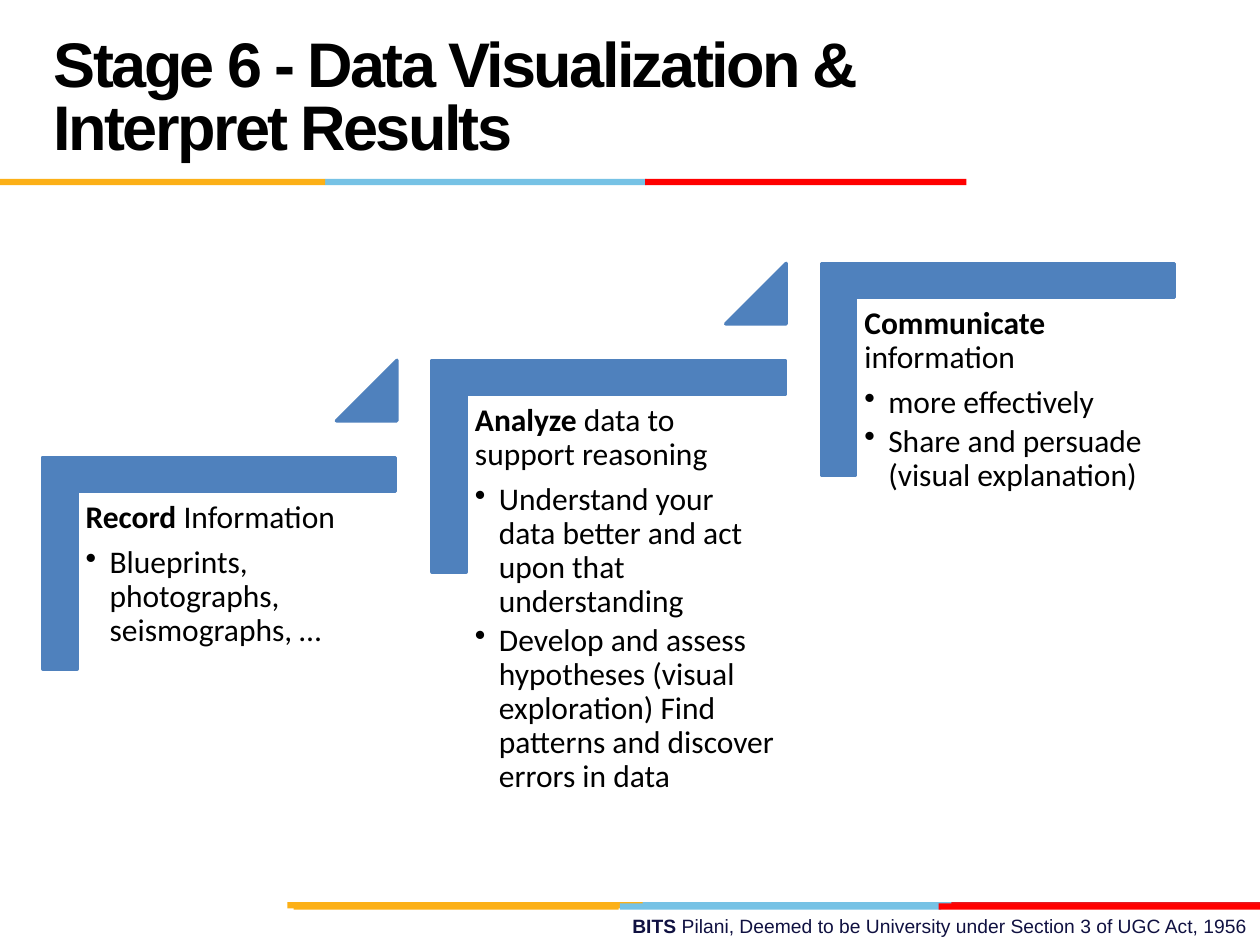
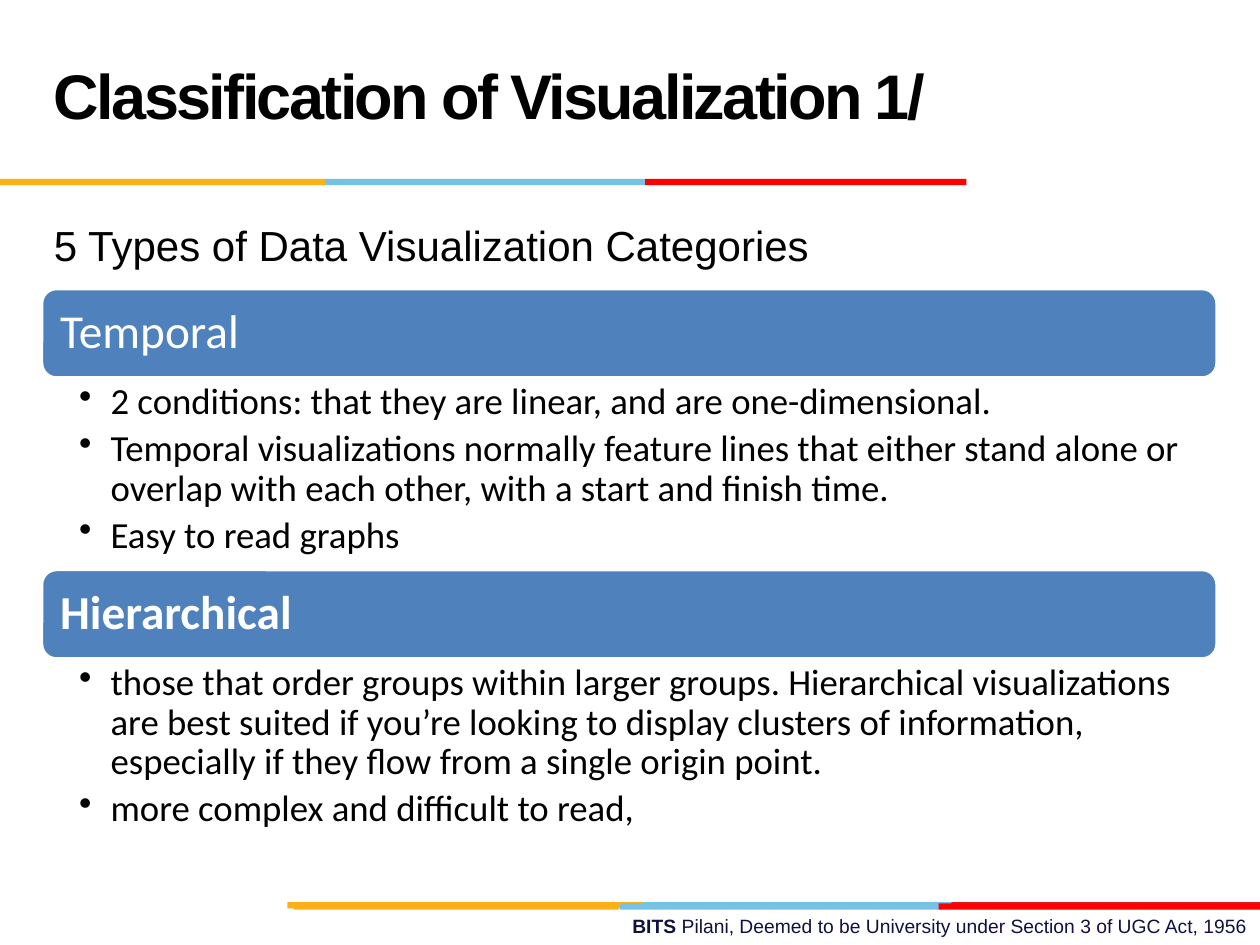
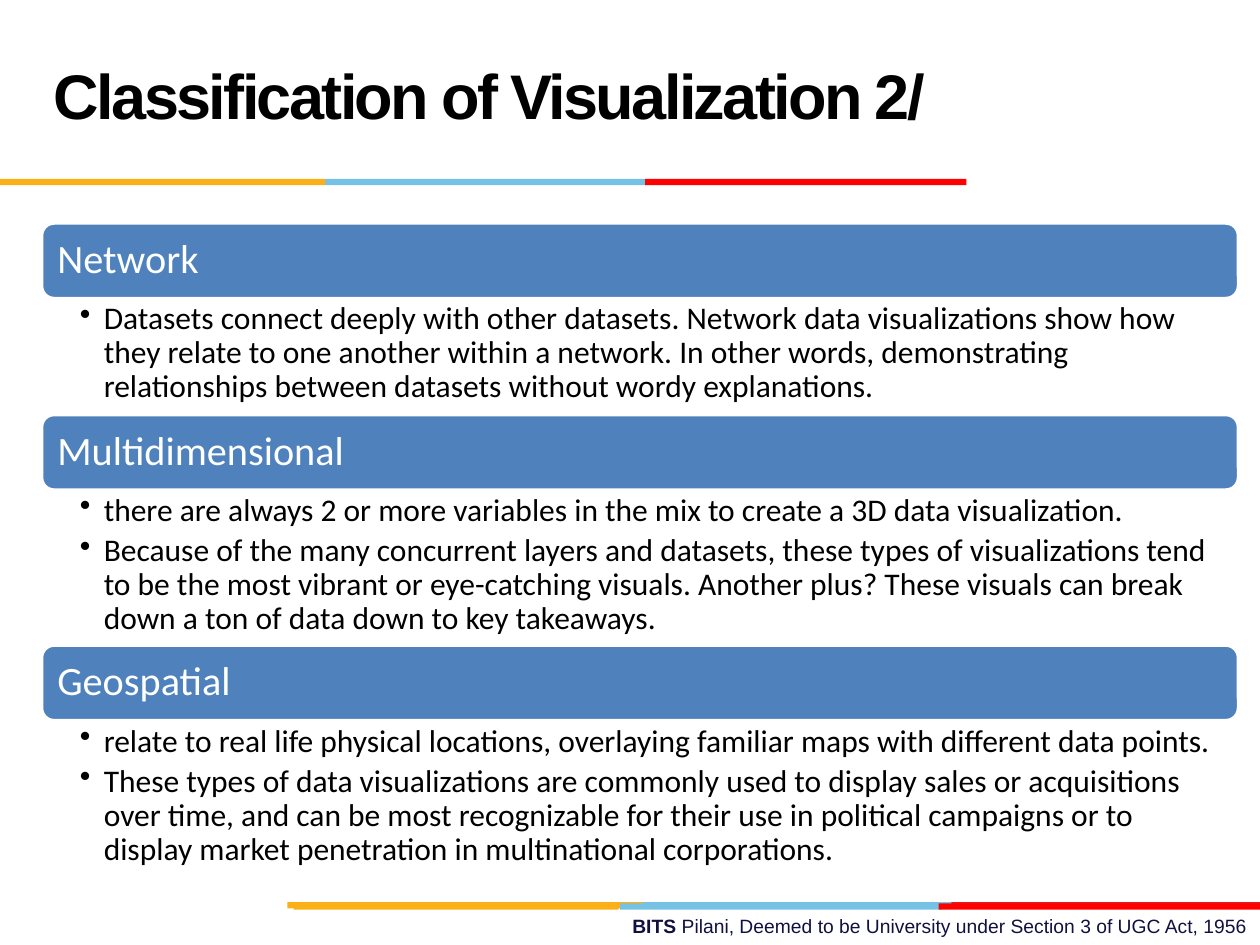
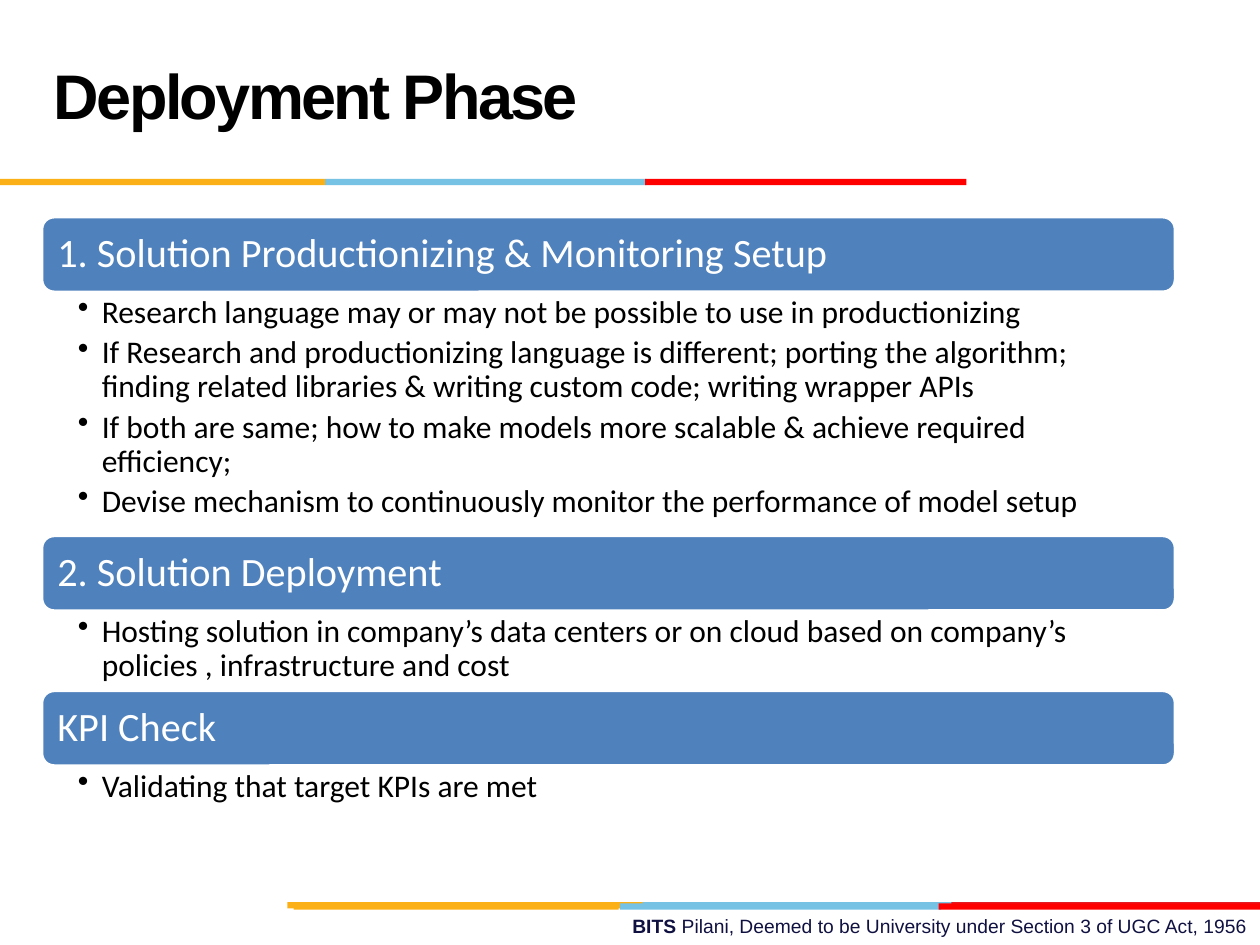
from lxml import etree
from pptx import Presentation
from pptx.dml.color import RGBColor
from pptx.enum.shapes import MSO_SHAPE
from pptx.enum.text import MSO_ANCHOR, PP_ALIGN
from pptx.oxml.ns import qn
from pptx.util import Inches, Pt

RECT = MSO_SHAPE.RECTANGLE
ROUNDED = MSO_SHAPE.ROUNDED_RECTANGLE
CORNER = MSO_SHAPE.CORNER
TRIANGLE = MSO_SHAPE.ISOSCELES_TRIANGLE
MIDDLE = MSO_ANCHOR.MIDDLE
TOP = MSO_ANCHOR.TOP
LEFT = PP_ALIGN.LEFT
RIGHT = PP_ALIGN.RIGHT

COLORS = {
    "black": "000000",
    "white": "FFFFFF",
    "navy": "101141",
    "blue": "4F81BD",
    "sky": "76C2E5",
    "amber": "FCB017",
    "red": "FF0000",
    "crimson": "E31C24",
}

# Each band: top, then (left, width, colour) of its stripes
BANDS = [
    (7.16, [(5.06, 2.55, "sky"), (7.55, 2.45, "crimson"), (2.28, 2.82, "amber")]),
    (7.17, [(4.92, 2.55, "sky"), (2.33, 2.58, "amber"), (7.45, 2.55, "red")]),
    (1.42, [(2.58, 2.55, "sky"), (0, 2.58, "amber"), (5.12, 2.55, "red")]),
]
BAND_HEIGHT = 0.05

LARGE = {"heading": 27, "body": 21, "bar": 0.71, "indent": 0.25}
SMALL = {"heading": 23, "body": 18, "bar": 0.6, "indent": 0.19}


def rgb(name):
    return RGBColor.from_string(COLORS[name])


def write(frame, text, lead="", size=18, font="Calibri", color="black",
          bold=False, align=LEFT, line=None, after=0, bullet=0, tracking=0):
    """Add a paragraph: a bold lead, then text; bullet is its hanging indent."""
    paragraph = frame.paragraphs[0]
    if paragraph.runs:
        paragraph = frame.add_paragraph()
    if bullet:
        paragraph.level = 1
        properties = paragraph._p.get_or_add_pPr()
        properties.set("marL", str(Inches(bullet)))
        properties.set("indent", str(-Inches(bullet)))
        etree.SubElement(properties, qn("a:buChar")).set("char", "•")
    paragraph.alignment = align
    if line:
        paragraph.line_spacing = line
    paragraph.space_after = Pt(after)
    for part, weight in ((lead, True), (text, bold)):
        if not part:
            continue
        run = paragraph.add_run()
        run.text = part
        run.font.name = font
        run.font.size = Pt(size)
        run.font.bold = weight
        run.font.color.rgb = rgb(color)
        if tracking:
            run._r.get_or_add_rPr().set("spc", str(round(tracking * 100)))


class Deck:
    def __init__(self):
        self.presentation = Presentation()
        self.presentation.slide_width = Inches(10)
        self.presentation.slide_height = Inches(7.5)
        self.slide = None

    def new_slide(self, title, title_width=6.92):
        blank = self.presentation.slide_layouts[6]
        self.slide = self.presentation.slides.add_slide(blank)
        footer = self.text_box(3.58, 7.21, 6.42, 0.29)
        write(footer, "Pilani, Deemed to be University under Section 3 of UGC Act, 1956",
              lead="BITS ", size=11, font="Arial", color="navy", align=RIGHT)
        for top, stripes in BANDS:
            for left, width, color in stripes:
                self.shape(RECT, left, top, width, BAND_HEIGHT, color)
        heading = self.text_box(0.33, 0.17, title_width, 1.25, anchor=MIDDLE)
        write(heading, title, size=36, font="Arial", bold=True,
              line=Pt(36), tracking=-1.5)

    def prepare_frame(self, frame, insets, anchor):
        frame.word_wrap = True
        frame.vertical_anchor = anchor
        (frame.margin_left, frame.margin_top,
         frame.margin_right, frame.margin_bottom) = map(Inches, insets)
        return frame

    def text_box(self, left, top, width, height,
                 insets=(0.1, 0.05, 0.1, 0.05), anchor=TOP):
        box = self.slide.shapes.add_textbox(
            Inches(left), Inches(top), Inches(width), Inches(height))
        return self.prepare_frame(box.text_frame, insets, anchor)

    def shape(self, kind, left, top, width, height, fill,
              outline=None, adjust=(), rotation=0):
        shape = self.slide.shapes.add_shape(
            kind, Inches(left), Inches(top), Inches(width), Inches(height))
        shape.shadow.inherit = False
        shape.fill.solid()
        shape.fill.fore_color.rgb = rgb(fill)
        if outline:
            shape.line.color.rgb = rgb(outline)
            shape.line.width = Pt(2)
        else:
            shape.line.fill.background()
        for index, value in enumerate(adjust):
            shape.adjustments[index] = value
        shape.rotation = rotation
        return shape

    def step(self, index, lead, rest, points, last=False):
        """Draw one stair of the rising steps, with a triangle towards the next."""
        dx, dy = 3.09 * index, -0.77 * index
        self.shape(CORNER, 0.9 + dx, 3.07 + dy, 1.68, 2.8, "blue",
                   outline="blue", adjust=(0.161, 0.161), rotation=90)
        frame = self.text_box(0.61 + dx, 3.91 + dy, 2.53, 2.22, insets=[0.07] * 4)
        write(frame, rest, lead=lead, line=0.9, after=6.3)
        for point in points:
            write(frame, point, line=0.9, after=2.7, bullet=0.19)
        if not last:
            self.shape(TRIANGLE, 2.67 + dx, 2.86 + dy, 0.48, 0.48, "blue",
                       outline="blue", adjust=(1,))

    def sections(self, top, width, style, sections):
        """Stack heading bars, each followed by its bullets."""
        left, size, heading_size = 0.33, style["body"], style["heading"]
        body_insets = (width * 0.032, size * 0.0018, size * 0.01, size * 0.0018)
        for heading, bold, body_height, points in sections:
            bar = self.shape(ROUNDED, left, top, width, style["bar"], "blue",
                             outline="white")
            frame = self.prepare_frame(
                bar.text_frame, [heading_size * 0.0042] * 4, MIDDLE)
            write(frame, heading, size=heading_size, color="white", bold=bold,
                  line=0.9, after=heading_size * 0.35)
            top += style["bar"]
            body = self.text_box(left, top, width, body_height, insets=body_insets)
            for point in points:
                write(body, point, size=size, line=0.9, after=size * 0.2,
                      bullet=style["indent"])
            top += body_height


def main():
    deck = Deck()

    deck.new_slide("Stage 6 - Data Visualization & Interpret Results")
    steps = [
        ("Record", " Information", ["Blueprints, photographs, seismographs, …"]),
        ("Analyze", " data to support reasoning", [
            "Understand your data better and act upon that understanding",
            "Develop and assess hypotheses (visual exploration) "
            "Find patterns and discover errors in data",
        ]),
        ("Communicate", " information", [
            "more effectively",
            "Share and persuade (visual explanation)",
        ]),
    ]
    for index, (lead, rest, points) in enumerate(steps):
        deck.step(index, lead, rest, points, last=index == len(steps) - 1)

    deck.new_slide("Classification of Visualization 1/", title_width=7.58)
    intro = deck.text_box(0.33, 1.63, 9, 4.95, insets=(0.1, 0.11, 0.1, 0.05))
    write(intro, "5 Types of Data Visualization Categories", size=24, font="Arial")
    deck.sections(2.29, 9.33, LARGE, [
        ("Temporal", False, 1.52, [
            "2 conditions: that they are linear, and are one-dimensional.",
            "Temporal visualizations normally feature lines that either stand alone "
            "or overlap with each other, with a start and finish time.",
            "Easy to read graphs",
        ]),
        ("Hierarchical", True, 1.44, [
            "those that order groups within larger groups. Hierarchical "
            "visualizations are best suited if you’re looking to display clusters "
            "of information, especially if they flow from a single origin point.",
            "more complex and difficult to read,",
        ]),
    ])

    deck.new_slide("Classification of Visualization 2/", title_width=7.25)
    deck.sections(1.77, 9.5, SMALL, [
        ("Network", False, 0.92, [
            "Datasets connect deeply with other datasets. Network data "
            "visualizations show how they relate to one another within a network. "
            "In other words, demonstrating relationships between datasets without "
            "wordy explanations.",
        ]),
        ("Multidimensional", False, 1.23, [
            "there are always 2 or more variables in the mix to create a 3D data "
            "visualization.",
            "Because of the many concurrent layers and datasets, these types of "
            "visualizations tend to be the most vibrant or eye-catching visuals. "
            "Another plus? These visuals can break down a ton of data down to key "
            "takeaways.",
        ]),
        ("Geospatial", False, 1.22, [
            "relate to real life physical locations, overlaying familiar maps with "
            "different data points.",
            "These types of data visualizations are commonly used to display sales "
            "or acquisitions over time, and can be most recognizable for their use "
            "in political campaigns or to display market penetration in "
            "multinational corporations.",
        ]),
    ])

    deck.new_slide("Deployment Phase")
    deck.sections(1.72, 9, SMALL, [
        ("1. Solution Productionizing & Monitoring Setup", False, 1.93, [
            "Research language may or may not be possible to use in productionizing",
            "If Research and productionizing language is different; porting the "
            "algorithm; finding related libraries & writing custom code; writing "
            "wrapper APIs",
            "If both are same; how to make models more scalable & achieve required "
            "efficiency;",
            "Devise mechanism to continuously monitor the performance of model setup",
        ]),
        ("2. Solution Deployment", False, 0.63, [
            "Hosting solution in company’s data centers or on cloud based on "
            "company’s policies , infrastructure and cost",
        ]),
        ("KPI Check", False, 0.42, ["Validating that target KPIs are met"]),
    ])

    deck.presentation.save("out.pptx")


if __name__ == "__main__":
    main()
